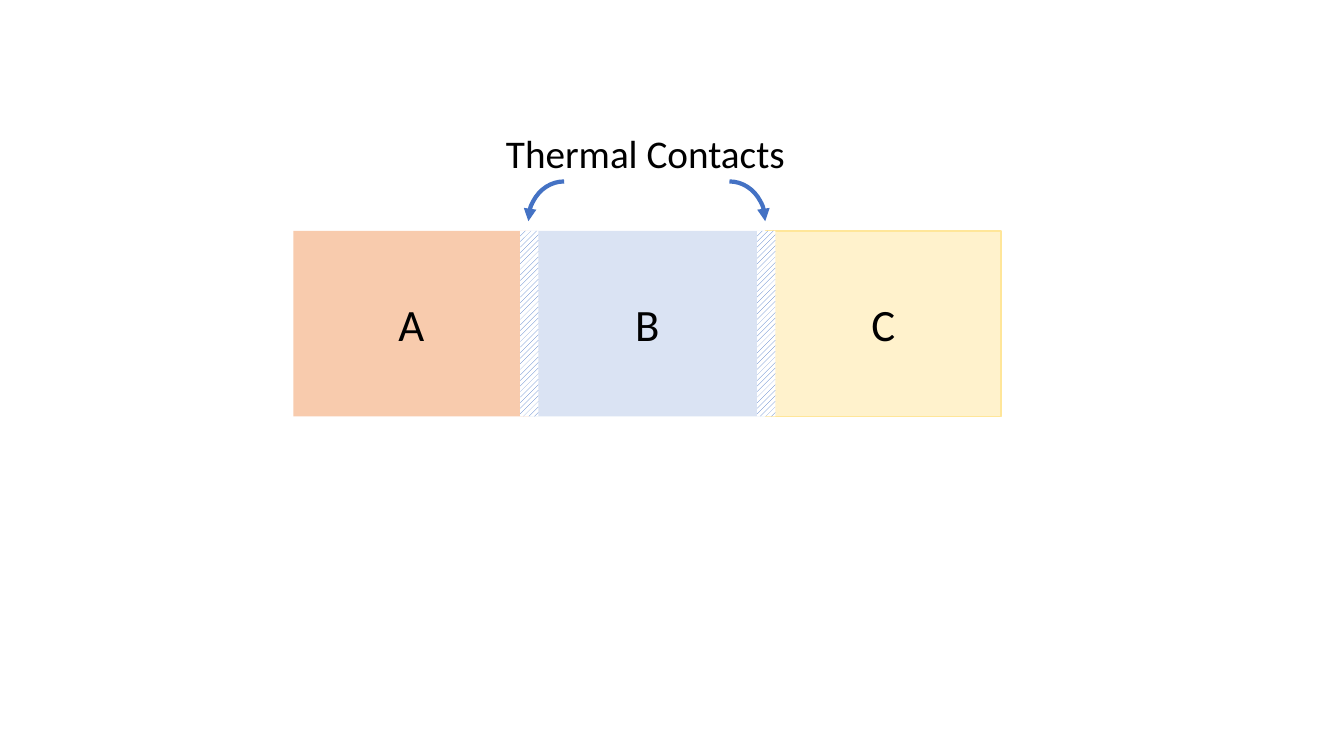
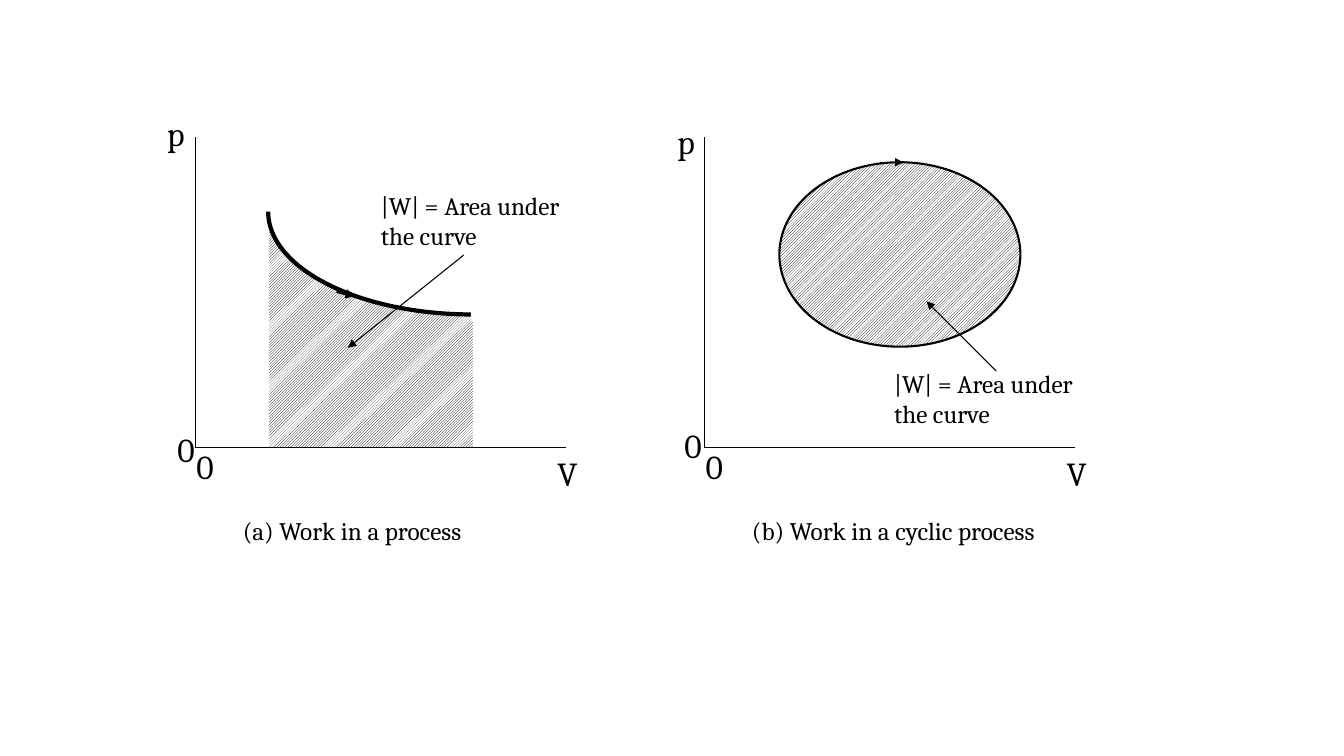
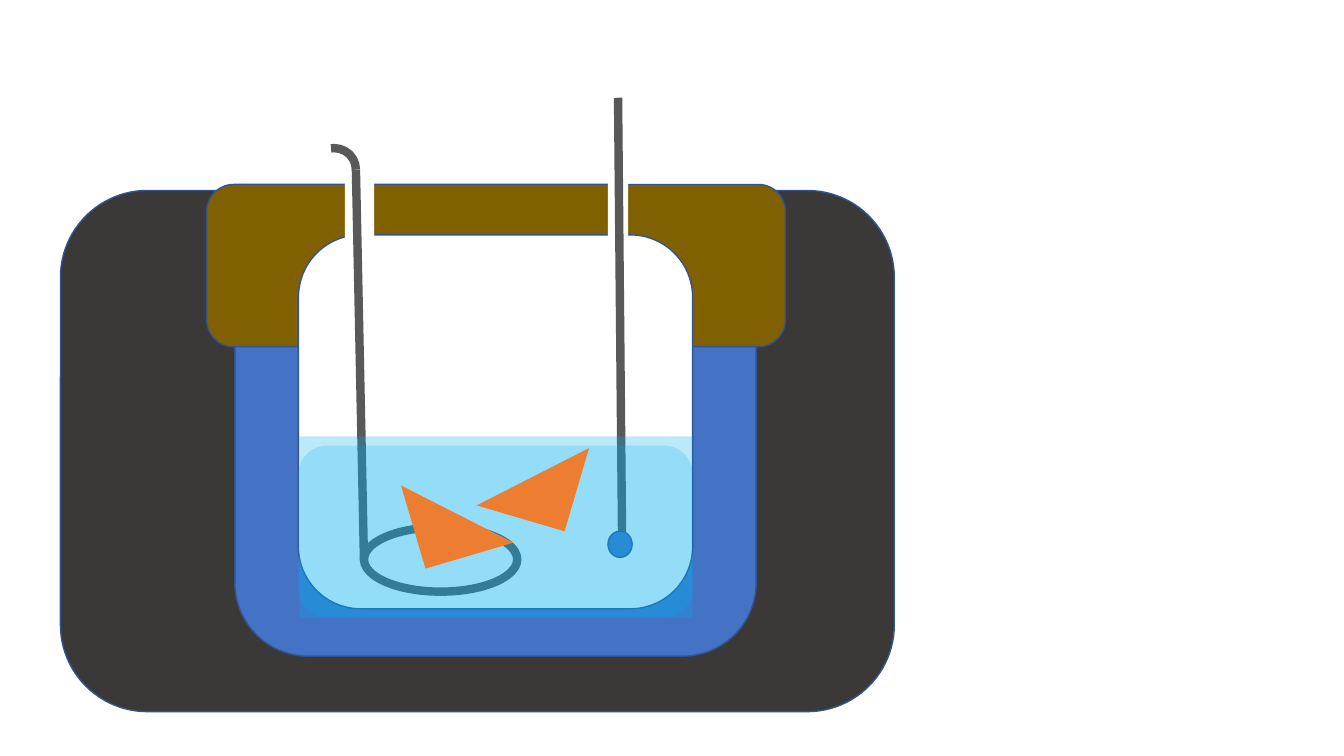
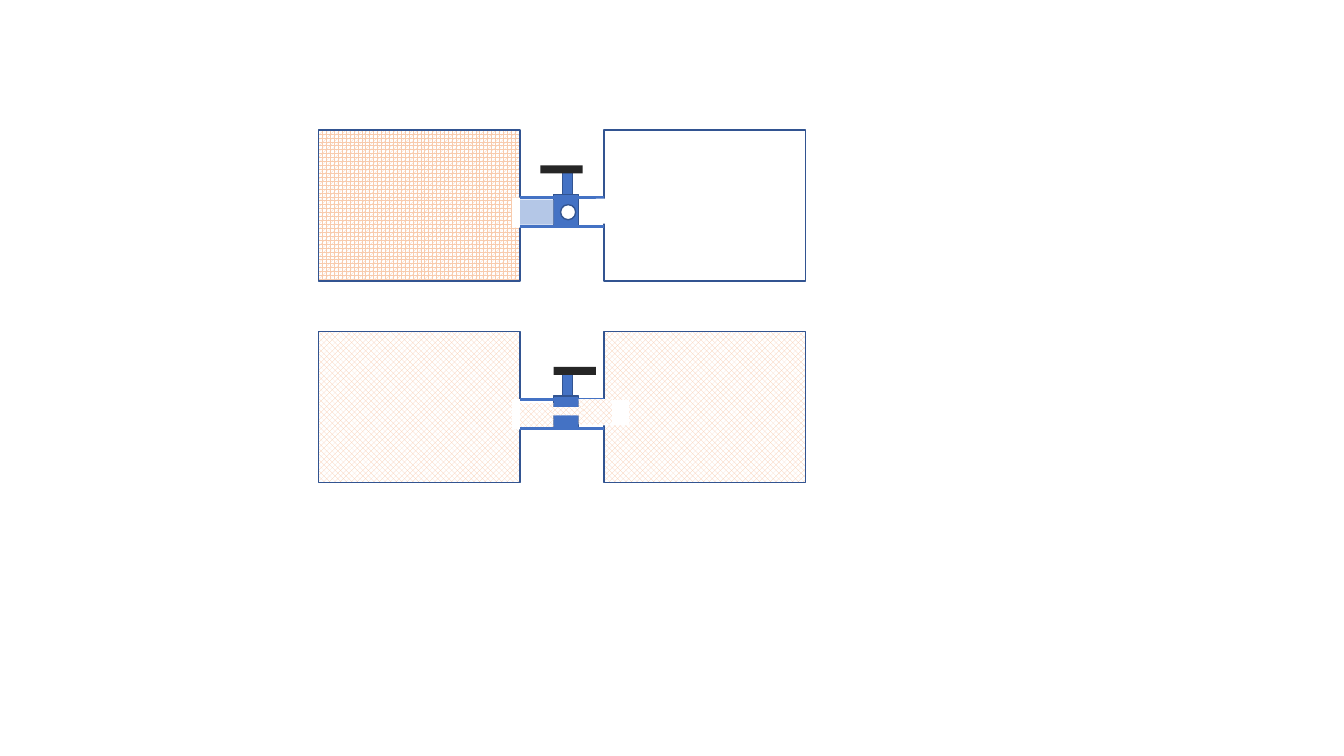
import pptx
import pptx.util
import pptx.dml.color
import pptx.enum.dml
import pptx.enum.shapes
import pptx.enum.text
import pptx.oxml.ns
import lxml.etree

Inches = pptx.util.Inches
Pt = pptx.util.Pt
RGBColor = pptx.dml.color.RGBColor
SHAPE = pptx.enum.shapes.MSO_SHAPE
PATTERN = pptx.enum.dml.MSO_PATTERN_TYPE
qn = pptx.oxml.ns.qn

BLACK = RGBColor(0x00, 0x00, 0x00)
WHITE = RGBColor(0xFF, 0xFF, 0xFF)
BLUE = RGBColor(0x44, 0x72, 0xC4)
NAVY = RGBColor(0x32, 0x54, 0x91)
PALE_BLUE = RGBColor(0xDA, 0xE3, 0xF3)
PIPE_BLUE = RGBColor(0xB4, 0xC7, 0xE7)
WATER = RGBColor(0x00, 0xB0, 0xF0)
PEACH = RGBColor(0xF8, 0xCB, 0xAD)
ORANGE = RGBColor(0xED, 0x7D, 0x31)
CREAM = RGBColor(0xFF, 0xF2, 0xCC)
YELLOW = RGBColor(0xFF, 0xE6, 0x99)
BROWN = RGBColor(0x80, 0x60, 0x00)
CHARCOAL = RGBColor(0x3B, 0x38, 0x38)
STEEL = RGBColor(0x59, 0x59, 0x59)
HANDLE = RGBColor(0x26, 0x26, 0x26)

CONTACT = (PATTERN.WIDE_UPWARD_DIAGONAL, BLUE)
HATCH = (PATTERN.LIGHT_UPWARD_DIAGONAL, BLACK)
DENSE_GAS = (PATTERN.SPHERE, PEACH)
THIN_GAS = (PATTERN.SOLID_DIAMOND, PEACH)


def draw(shapes, kind, at, fill=None, color=None, width=1, arrow=False):
    at = [Inches(v) for v in at]
    if kind is None:
        sp = shapes.add_connector(pptx.enum.shapes.MSO_CONNECTOR.STRAIGHT, *at)
    else:
        sp = shapes.add_shape(kind, *at)
        if fill is None:
            sp.fill.background()
        elif isinstance(fill, RGBColor):
            sp.fill.solid()
            sp.fill.fore_color.rgb = fill
        else:
            sp.fill.patterned()
            sp.fill.pattern, sp.fill.fore_color.rgb = fill
            sp.fill.back_color.rgb = WHITE
    if color is None:
        sp.line.fill.background()
    else:
        sp.line.color.rgb = color
        sp.line.width = Pt(width)
    spPr = sp.element.spPr
    if arrow:
        lxml.etree.SubElement(spPr.find(qn("a:ln")), qn("a:tailEnd"), type="triangle")
    lxml.etree.SubElement(spPr, qn("a:effectLst"))
    return sp


def write(sp, text, font, size):
    p = sp.text_frame.paragraphs[0]
    p.text = text
    p.font.name = font
    p.font.size = Pt(size)
    p.font.color.rgb = BLACK
    return p


prs = pptx.Presentation()
prs.slide_width = Inches(13.33)
prs.slide_height = Inches(7.5)
blank = prs.slide_layouts[6]

shapes = prs.slides.add_slide(blank).shapes
bodies = [("A", PEACH, None), ("B", PALE_BLUE, None), ("C", CREAM, YELLOW)]
for i, (name, fill, color) in enumerate(bodies):
    sp = draw(shapes, SHAPE.RECTANGLE, (2.91 + 2.34 * i, 2.29, 2.34, 1.84), fill, color)
    sp.text_frame.vertical_anchor = pptx.enum.text.MSO_ANCHOR.MIDDLE
    write(sp, name, "Calibri", 32).alignment = pptx.enum.text.PP_ALIGN.CENTER
for x in (5.16, 7.51):
    draw(shapes, SHAPE.RECTANGLE, (x, 2.29, 0.18, 1.84), CONTACT)
tb = shapes.add_textbox(Inches(4.92), Inches(1.23), Inches(3), Inches(0.57))
tb.text_frame.word_wrap = False
tb.text_frame.auto_size = pptx.enum.text.MSO_AUTO_SIZE.SHAPE_TO_FIT_TEXT
write(tb, "Thermal Contacts", "Calibri", 28)
draw(shapes, SHAPE.ARC, (6.88, 1.8, 0.71, 0.79), None, BLUE, 3, True)
sp = draw(shapes, SHAPE.ARC, (5.24, 1.8, 0.71, 0.79), None, BLUE, 3, True)
sp.element.spPr.xfrm.set("flipH", "1")

shapes = prs.slides.add_slide(blank).shapes
draw(shapes, SHAPE.RECTANGLE, (2.67, 2.18, 2.02, 2.26), HATCH)
curve = draw(shapes, SHAPE.ARC, (2.66, 1.08, 4.04, 2.04), WHITE, BLACK, 3)
curve.adjustments[0] = 54
curve.adjustments[1] = 108
for at in ((2.7, 1.99, 2.39, 0.21), (4.67, 2.16, 0.18, 1.03)):
    draw(shapes, SHAPE.RECTANGLE, at, WHITE)
draw(shapes, SHAPE.OVAL, (7.73, 1.61, 2.39, 1.83), HATCH, BLACK, 1.5)
arrows = [
    ((3.34, 2.89, 3.52, 2.94), 2.25),
    ((4.6, 2.53, 3.45, 3.45), 0.75),
    ((8.73, 1.61, 8.96, 1.61), 0.75),
    ((9.88, 3.68, 9.19, 2.99), 0.75),
]
for at, width in arrows:
    draw(shapes, None, at, None, BLACK, width, True)
labels = [
    (1.56, 1.07, 0.55, 0.62, "p", 24),
    (6.62, 1.15, 0.55, 0.62, "p", 24),
    (1.66, 4.21, 0.92, 0.69, "0", 24),
    (6.69, 4.17, 0.92, 0.69, "0", 24),
    (3.68, 1.84, 2.3, 0.69, "|W| = Area under the curve", 18),
    (8.77, 3.6, 2.3, 0.69, "|W| = Area under the curve", 18),
]
captions = ["(a) Work in a process", "(b) Work in a cyclic process"]
for i, caption in enumerate(captions):
    dx = 5.05 * i
    draw(shapes, None, (1.94 + dx, 1.36, 1.94 + dx, 4.44), None, BLACK, 0.75)
    draw(shapes, None, (1.94 + dx, 4.44, 5.61 + dx, 4.44), None, BLACK, 0.75)
    labels += [
        (5.43 + dx, 4.44, 0.55, 0.62, "V", 24),
        (1.85 + dx, 4.37, 0.69, 0.69, "0", 24),
        (2.31 + dx, 5.06, 4.13, 0.69, caption, 18),
    ]
for x, y, w, h, text, size in labels:
    tb = shapes.add_textbox(Inches(x), Inches(y), Inches(w), Inches(h))
    tb.text_frame.word_wrap = True
    write(tb, text, "Cambria", size)

shapes = prs.slides.add_slide(blank).shapes
vessels = [
    ((0.6, 1.89, 8.27, 5.17), CHARCOAL),
    ((2.33, 2.15, 5.17, 4.36), BLUE),
    ((2.05, 1.83, 5.74, 1.61), BROWN),
    ((2.96, 2.33, 3.91, 3.71), WHITE),
]
for at, fill in vessels:
    draw(shapes, SHAPE.ROUNDED_RECTANGLE, at, fill, NAVY)
for at in ((6.03, 1.71, 0.2, 0.76), (3.42, 1.77, 0.29, 0.76)):
    draw(shapes, SHAPE.RECTANGLE, at, WHITE)
stirrer = shapes.add_group_shape().shapes
draw(stirrer, SHAPE.OVAL, (3.61, 5.23, 1.52, 0.64), None, STEEL, 6)
draw(stirrer, None, (3.61, 5.56, 3.53, 1.68), None, STEEL, 6)
hook = draw(stirrer, SHAPE.ARC, (3.1, 1.47, 0.43, 0.42), None, STEEL, 6)
hook.adjustments[0] = 156.86
draw(shapes, None, (6.17, 5.34, 6.13, 0.97), None, STEEL, 6)
draw(shapes, SHAPE.OVAL, (6.03, 5.27, 0.24, 0.26), BLUE, NAVY)
water = [
    (SHAPE.ROUNDED_RECTANGLE, (2.96, 4.42, 3.91, 1.71), 20),
    (SHAPE.RECTANGLE, (2.97, 4.33, 3.9, 1.8), 27),
]
for kind, at, opacity in water:
    sp = draw(shapes, kind, at, WATER)
    clr = sp.element.spPr.find(qn("a:solidFill")).find(qn("a:srgbClr"))
    lxml.etree.SubElement(clr, qn("a:alpha"), val=str(opacity * 1000))
sp = draw(shapes, SHAPE.RIGHT_TRIANGLE, (4.08, 4.67, 0.91, 0.86), ORANGE)
sp.rotation = 343.6
sp = draw(shapes, SHAPE.RIGHT_TRIANGLE, (4.83, 4.3, 0.91, 0.86), ORANGE)
sp.rotation = 16.4
sp.element.spPr.xfrm.set("flipH", "1")

shapes = prs.slides.add_slide(blank).shapes
rows = [
    (1.29, DENSE_GAS, None, 5.36, PIPE_BLUE, 1.98),
    (3.29, THIN_GAS, THIN_GAS, 5.49, THIN_GAS, 4),
]
for top, left_gas, right_gas, handle_x, pipe_fill, pipe_y in rows:
    parts = [
        ((3.16, top, 2, 1.5), left_gas, NAVY),
        ((5.99, top, 2, 1.5), right_gas, NAVY),
        ((5.58, top + 0.4, 0.1, 0.25), BLUE, NAVY),
        ((handle_x, top + 0.35, 0.42, 0.08), HANDLE, None),
        ((5.49, top + 0.64, 0.25, 0.33), BLUE, NAVY),
        ((5.08, top + 0.67, 0.17, 0.3), WHITE, None),
        ((5.16, pipe_y, 0.33, 0.25), pipe_fill, None),
    ]
    for at, fill, color in parts:
        draw(shapes, SHAPE.RECTANGLE, at, fill, color)
    for y in (top + 0.96, top + 0.67):
        draw(shapes, None, (5.16, y, 5.99, y), None, BLUE, 2.25)
    draw(shapes, SHAPE.RECTANGLE, (5.91, top + 0.68, 0.33, 0.25), WHITE)
draw(shapes, SHAPE.OVAL, (5.56, 2.03, 0.15, 0.15), WHITE, NAVY)
for at in ((5.74, 3.96, 0.33, 0.25), (5.48, 4.04, 0.3, 0.08)):
    draw(shapes, SHAPE.RECTANGLE, at, THIN_GAS)

prs.save("out.pptx")
